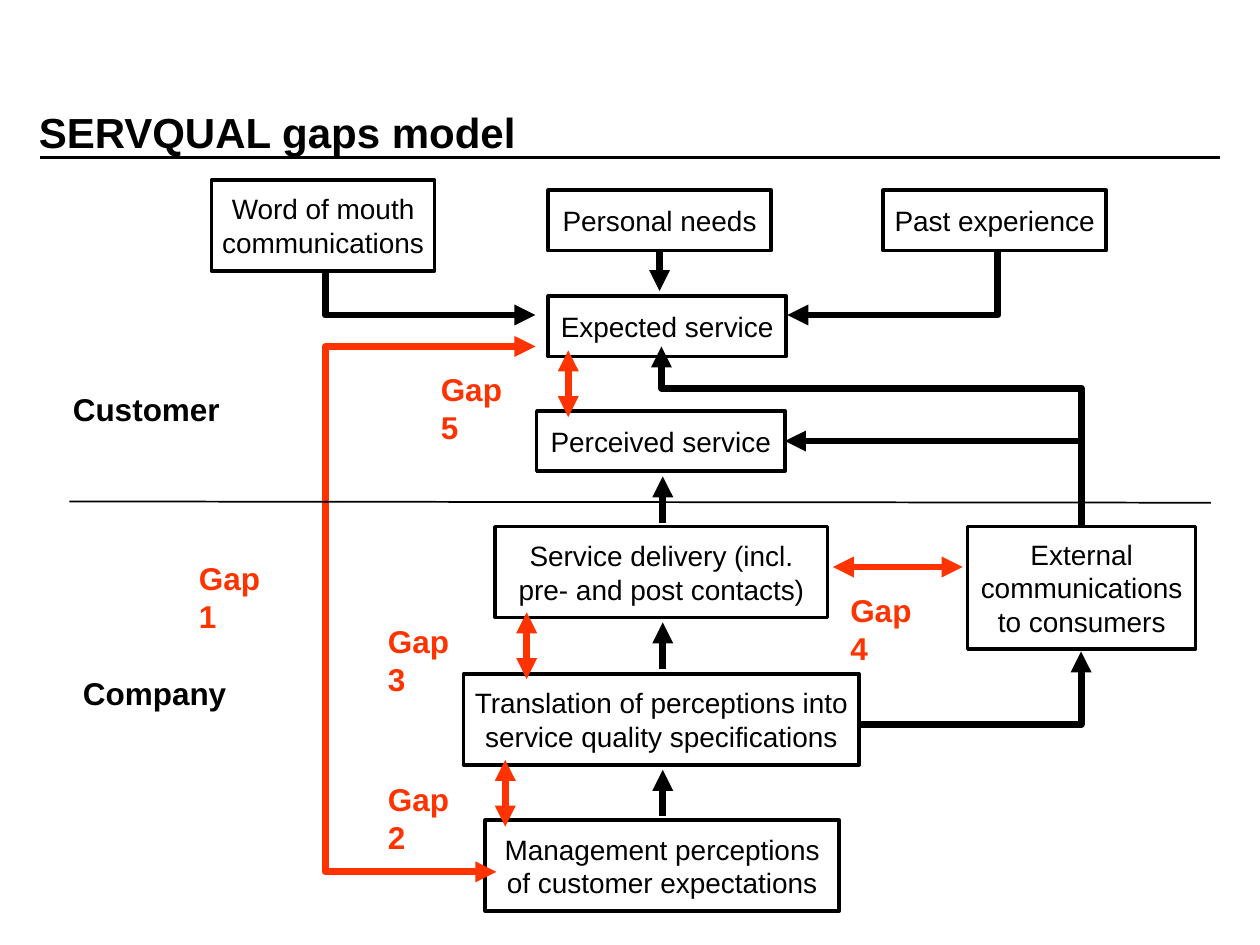
from dataclasses import dataclass

from lxml.etree import SubElement
from pptx import Presentation
from pptx.dml.color import RGBColor
from pptx.enum.shapes import MSO_CONNECTOR as CONN, MSO_SHAPE as SHAPE
from pptx.enum.text import MSO_ANCHOR as ANCHOR, PP_ALIGN as ALIGN
from pptx.oxml.ns import qn
from pptx.util import Inches, Pt

BLACK = RGBColor(0x00, 0x00, 0x00)
WHITE = RGBColor(0xFF, 0xFF, 0xFF)
RED = RGBColor(0xFF, 0x33, 0x00)
TOP, LEFT, BOTTOM, RIGHT = range(4)
Point = tuple[float, float]


@dataclass
class Box:
    text: str
    x: float
    y: float
    w: float
    h: float


@dataclass
class Label:
    text: str
    x: float
    y: float
    w: float = 0.89
    color: RGBColor = RED


@dataclass
class Arrow:
    """An arrow that points at its last point, or at both ends."""
    points: list[Point]
    color: RGBColor = BLACK
    both: bool = False


NEEDS = Box("Personal needs", 4.35, 1.51, 1.77, 0.48)
EXPECTED = Box("Expected service", 4.35, 2.35, 1.89, 0.48)
PERCEIVED = Box("Perceived service", 4.26, 3.26, 1.97, 0.48)
BOXES = [
    Box("Word of mouth\ncommunications", 1.68, 1.43, 1.77, 0.72),
    NEEDS,
    Box("Past experience", 7.01, 1.51, 1.77, 0.48),
    EXPECTED,
    PERCEIVED,
    Box("Service delivery (incl.\npre- and post contacts)", 3.93, 4.18, 2.64, 0.72),
    Box("Translation of perceptions into\nservice quality specifications",
        3.68, 5.35, 3.14, 0.72),
    Box("Management perceptions\nof customer expectations", 3.85, 6.51, 2.81, 0.72),
    Box("External\ncommunications\nto consumers", 7.68, 4.18, 1.81, 0.97),
]

LABELS = [
    Label("Gap 1", 1.48, 4.39),
    Label("Gap 2", 2.98, 6.14),
    Label("Gap 3", 2.98, 4.89),
    Label("Gap 4", 6.65, 4.64),
    Label("Gap 5", 3.4, 2.89),
    Label("Customer", 0.48, 3.05, 1.37, BLACK),
    Label("Company", 0.56, 5.3, 1.34, BLACK),
]

FLOW_X, FLOW_LENGTH, GAP_LENGTH = 5.26, 0.37, 0.53
ARROWS = [
    Arrow([(2.58, 2.15), (2.58, 2.5), (4.25, 2.5)]),
    Arrow([(7.92, 1.99), (7.92, 2.5), (6.25, 2.5)]),
    Arrow([(8.58, 4.18), (8.58, 3.08), (5.25, 3.08), (5.25, 2.75)]),
    Arrow([(6.83, 5.75), (8.58, 5.75), (8.58, 5.17)]),
    *(Arrow([(FLOW_X, y + FLOW_LENGTH), (FLOW_X, y)]) for y in (3.78, 4.94, 6.11)),
    Arrow([(4.25, 2.75), (2.58, 2.75), (2.58, 6.92), (3.94, 6.92)], RED, True),
    *(Arrow([(x, y), (x, y + GAP_LENGTH)], RED, True)
      for x, y in ((4.01, 6.03), (4.18, 4.86), (4.51, 2.78))),
    Arrow([(6.61, 4.5), (7.64, 4.5)], RED, True),
]


def write(tf, text: str, *, size: int = 16, color: RGBColor = BLACK,
          bold: bool = False, align=ALIGN.LEFT, anchor=ANCHOR.TOP,
          wrap: bool = True) -> None:
    tf.word_wrap = wrap
    tf.vertical_anchor = anchor
    tf.text = text
    for p in tf.paragraphs:
        p.alignment = align
        font = p.runs[0].font
        font.name, font.size, font.bold = "Arial", Pt(size), bold
        font.color.rgb = color


def add_text(s, text: str, x: float, y: float, w: float, h: float, **style) -> None:
    tb = s.shapes.add_textbox(Inches(x), Inches(y), Inches(w), Inches(h))
    write(tb.text_frame, text, **style)


def add_box(s, box: Box):
    sp = s.shapes.add_shape(SHAPE.RECTANGLE, Inches(box.x), Inches(box.y),
                            Inches(box.w), Inches(box.h))
    sp.shadow.inherit = False
    sp.fill.solid()
    sp.fill.fore_color.rgb = WHITE
    sp.line.color.rgb = BLACK
    sp.line.width = Pt(2)
    write(sp.text_frame, box.text, align=ALIGN.CENTER, anchor=ANCHOR.MIDDLE, wrap=False)
    return sp


def add_line(s, start: Point, end: Point, width: float, color: RGBColor = BLACK):
    line = s.shapes.add_connector(CONN.STRAIGHT, *map(Inches, start + end))
    line.line.color.rgb = color
    line.line.width = Pt(width)
    SubElement(line._element.spPr, qn("a:effectLst"))
    return line


def add_bent_line(s, points: list[Point], width: float, color: RGBColor):
    start, *rest = [(Inches(x), Inches(y)) for x, y in points]
    builder = s.shapes.build_freeform(*start)
    builder.add_line_segments(rest, close=False)
    sp = builder.convert_to_shape()
    sp.shadow.inherit = False
    sp.fill.background()
    sp.line.color.rgb = color
    sp.line.width = Pt(width)
    return sp


def add_arrow(s, arrow: Arrow):
    if len(arrow.points) == 2:
        sp = add_line(s, *arrow.points, 4, arrow.color)
    else:
        sp = add_bent_line(s, arrow.points, 4, arrow.color)
    ln = sp.line._get_or_add_ln()
    SubElement(ln, qn("a:round"))
    for tag in ("a:headEnd", "a:tailEnd") if arrow.both else ("a:tailEnd",):
        SubElement(ln, qn(tag), type="triangle")
    return sp


def main() -> None:
    prs = Presentation()
    prs.slide_width, prs.slide_height = Inches(10), Inches(7.5)
    s = prs.slides.add_slide(prs.slide_layouts[6])

    add_line(s, (0.32, 1.25), (9.68, 1.25), 2)
    add_text(s, "SERVQUAL gaps model", 0.21, 0.42, 8.5, 1.25,
             size=24, bold=True, anchor=ANCHOR.MIDDLE)

    shapes = {box.text: add_box(s, box) for box in BOXES}
    for arrow in ARROWS:
        add_arrow(s, arrow)

    needs_x = NEEDS.x + NEEDS.w / 2
    needs_arrow = add_arrow(s, Arrow([(needs_x, NEEDS.y + NEEDS.h), (needs_x, 2.31)]))
    needs_arrow.begin_connect(shapes[NEEDS.text], BOTTOM)
    perceived_arrow = add_arrow(s, Arrow([(8.58, 3.5), (6.23, 3.5)]))
    perceived_arrow.end_connect(shapes[PERCEIVED.text], RIGHT)

    for label in LABELS:
        add_text(s, label.text, label.x, label.y, label.w, 0.4,
                 size=18, color=label.color, bold=True)
    add_line(s, (0.55, 3.98), (9.61, 3.99), 1)
    prs.save("out.pptx")


if __name__ == "__main__":
    main()
